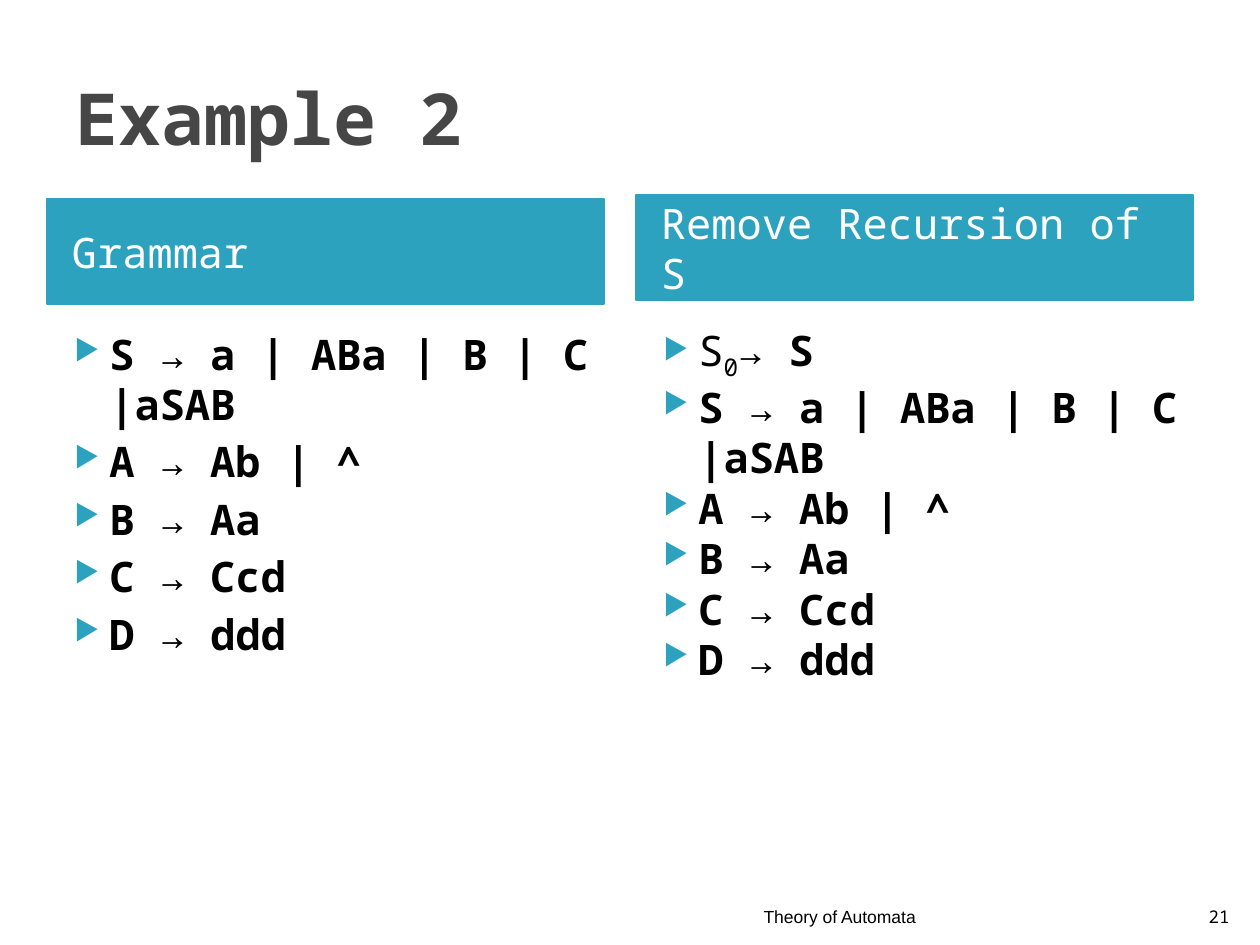
"""Builds a slide that compares a grammar with its recursion-free form."""
from lxml.etree import SubElement
from pptx import Presentation
from pptx.dml.color import RGBColor
from pptx.enum.shapes import MSO_SHAPE as Shape
from pptx.enum.text import MSO_ANCHOR as Anchor, PP_ALIGN as Align
from pptx.oxml.ns import qn
from pptx.util import Emu, Pt

SCALE = 914400 / 126
TEAL = RGBColor(0x2D, 0xA2, 0xBF)
GRAY = RGBColor(0x46, 0x46, 0x46)
WHITE = RGBColor(0xFF, 0xFF, 0xFF)
BLACK = RGBColor(0, 0, 0)
MONO = "Noto Sans Mono"


def px(length):
    return Emu(round(length * SCALE))


class SlideBuilder:
    """Holds the style and the current slide."""

    def __init__(self, deck):
        self.page = deck.slides.add_slide(deck.slide_layouts[6])
        self.style = {"name": MONO, "size": Pt(24), "bold": False}

    def span(self, para, text, color, **changes):
        span = para.add_run()
        span.text = text
        for key, value in {**self.style, **changes}.items():
            setattr(span.font, key, value)
        span.font.color.rgb = color
        return span

    def label(self, area, text, color, anchor, align=Align.LEFT, **changes):
        box = self.page.shapes.add_textbox(*map(px, area))
        frame = box.text_frame
        frame.word_wrap = True
        frame.vertical_anchor = anchor
        para = frame.paragraphs[0]
        para.alignment = align
        self.span(para, text, color, **changes)

    def banner(self, area, text):
        box = self.page.shapes.add_shape(Shape.RECTANGLE, *map(px, area))
        box.shadow.inherit = False
        box.fill.solid()
        box.fill.fore_color.rgb = TEAL
        box.line.color.rgb = TEAL
        box.line.width = Pt(0.76)
        frame = box.text_frame
        layout = {"word_wrap": True, "vertical_anchor": Anchor.MIDDLE,
                  "margin_left": px(25)}
        for key, value in layout.items():
            setattr(frame, key, value)
        para = frame.paragraphs[0]
        para.alignment = Align.LEFT
        para.space_before = Pt(4)
        self.span(para, text, WHITE)

    def bullet(self, para):
        props = para._p.get_or_add_pPr()
        props.set("marL", str(px(50)))
        props.set("indent", str(-px(35)))
        color = SubElement(props, qn("a:buClr"))
        SubElement(color, qn("a:srgbClr"), val=str(TEAL))
        SubElement(props, qn("a:buSzPct"), val="68000")
        SubElement(props, qn("a:buChar"), char="▶")

    def rules(self, area, lines, gap):
        frame = self.page.shapes.add_textbox(*map(px, area)).text_frame
        frame.word_wrap = True
        for index, spans in enumerate(lines):
            para = frame.add_paragraph() if index else frame.paragraphs[0]
            para.space_before = Pt(gap)
            self.bullet(para)
            for text, bold, baseline in spans:
                span = self.span(para, text, BLACK, bold=bold)
                if baseline:
                    span.font._element.set("baseline", str(baseline))


deck = Presentation()
deck.slide_width, deck.slide_height = px(1260), px(945)
slide = SlideBuilder(deck)

slide.label((63, 38, 1134, 158), "Example 2", GRAY, Anchor.MIDDLE,
            size=Pt(41), bold=True)

grammar = [[(rule, True, 0)] for rule in (
    "S → a | ABa | B | C |aSAB", "A → Ab | ^", "B → Aa", "C → Ccd", "D → ddd")]
start = [("S", False, 0), ("0", False, -25000), ("→ S", True, 0)]
columns = [
    (47, 199, "Grammar", grammar, 4),
    (636, 195, "Remove Recursion of S", [start] + grammar, 0),
]
for left, top, heading, lines, gap in columns:
    slide.banner((left, top, 557, 105), heading)
    slide.rules((left, top + 123, 557, 543), lines, gap)

footers = [(604, 324, "Theory of Automata", "Arial"), (1192, 50, "21", MONO)]
for left, width, text, font in footers:
    slide.label((left, 883, width, 50), text, BLACK, Anchor.BOTTOM, Align.RIGHT,
                name=font, size=Pt(10))

deck.save("out.pptx")
